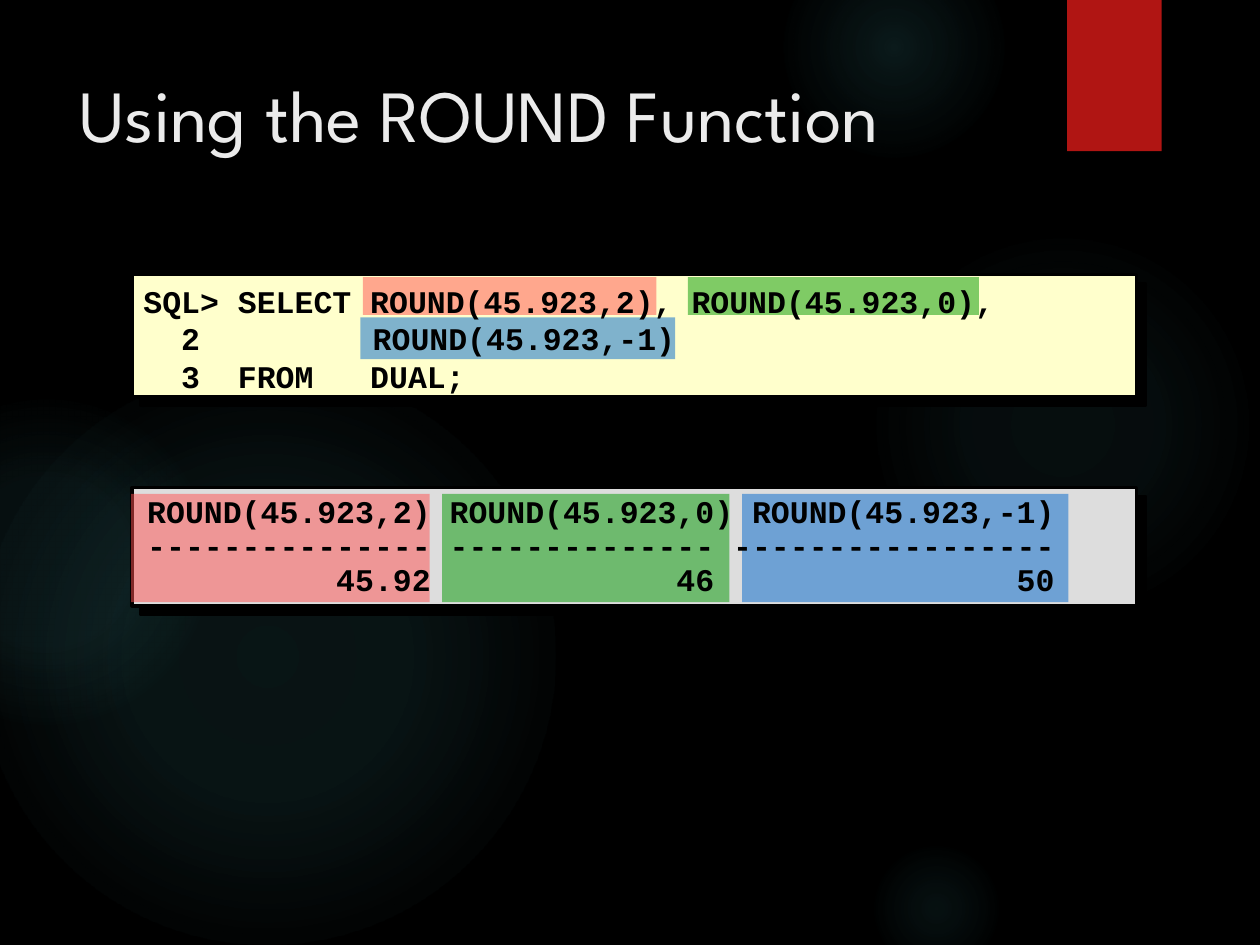
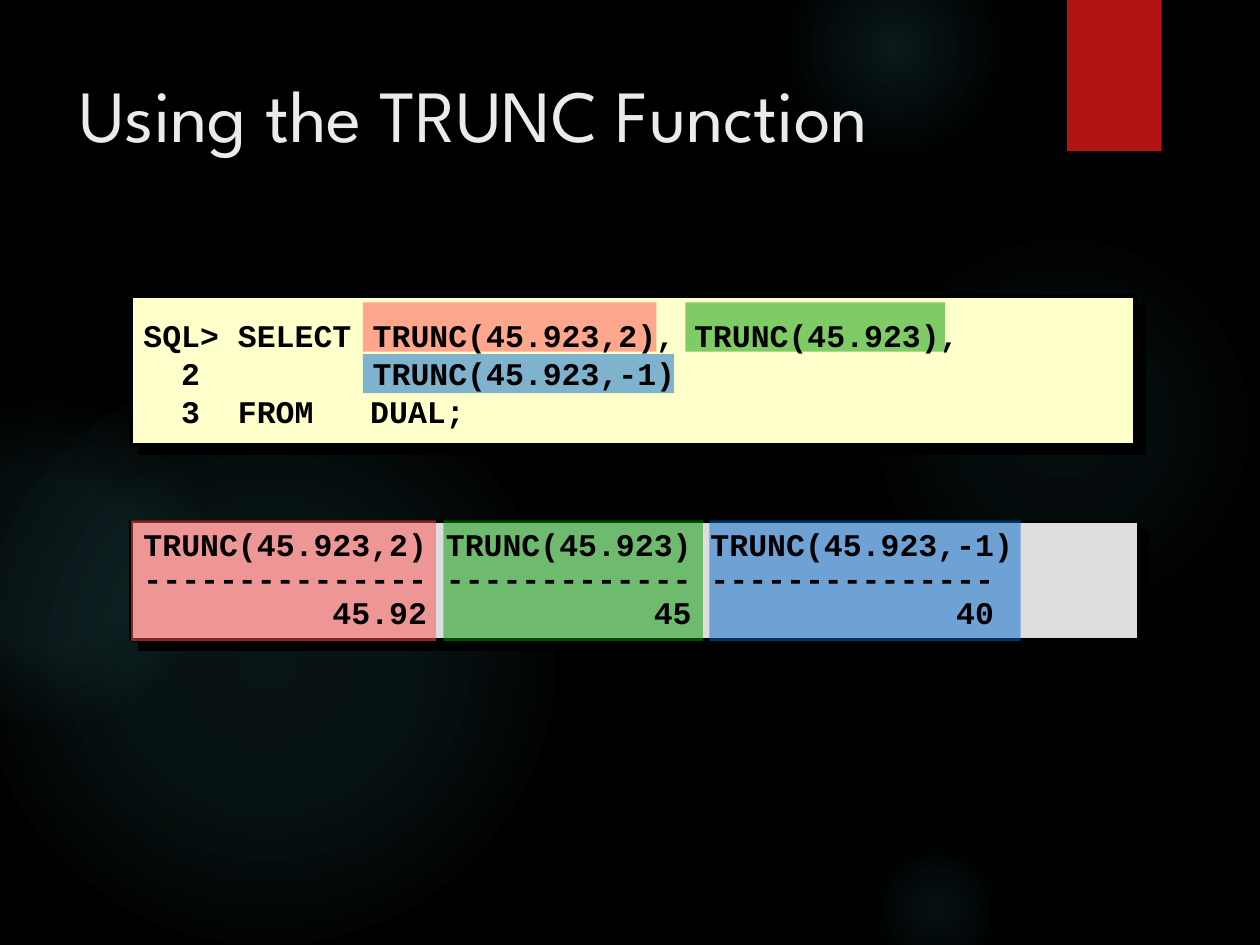
from lxml import etree
from pptx import Presentation
from pptx.dml.color import RGBColor
from pptx.enum.shapes import MSO_SHAPE
from pptx.enum.text import MSO_ANCHOR, MSO_AUTO_SIZE
from pptx.oxml import parse_xml
from pptx.oxml.ns import nsdecls, qn
from pptx.util import Inches, Pt

RECT, OVAL = MSO_SHAPE.RECTANGLE, MSO_SHAPE.OVAL
TOP, MIDDLE = MSO_ANCHOR.TOP, MSO_ANCHOR.MIDDLE
GROW, FIXED = MSO_AUTO_SIZE.SHAPE_TO_FIT_TEXT, MSO_AUTO_SIZE.NONE

# Grid: 100 columns by 75 rows on a 10 by 7.5 inch slide
WIDE, HIGH = Inches(10), Inches(7.5)
COLS, ROWS = 100, 75

BLACK, GLOW, RED, PALE = "000000", "50B9C1", "B01513", "EBEBEB"
CREAM, GREY = "FFFFCC", "DDDDDD"
TINTS = ["FF5050", "009900", "0066CC"]
HEAD, MONO = "League Spartan", "Courier New"

# Glows: column, row, size, then (stop, opacity) pairs in percent
GLOWS = [
    (68.9, 18.3, 30.8, [(0, 7), (36, 6), (69, 0)]),
    (62.2, -5, 17.5, [(0, 14), (36, 7), (73, 0)]),
    (68.9, 66.7, 10.8, [(0, 9), (36, 5), (66, 0)]),
    (-1.7, 29.2, 45.8, [(0, 11), (36, 10), (75, 0)]),
    (-9.2, 31.7, 25.8, [(0, 8), (36, 8), (72, 0)]),
]


def rgb(hue):
    return RGBColor.from_string(hue)


def place(box):
    x, y, w, h = box
    return (int(x * WIDE / COLS), int(y * HIGH / ROWS),
            int(w * WIDE / COLS), int(h * HIGH / ROWS))


def shape(slide, kind, box, fill, line=None, alpha=None):
    item = slide.shapes.add_shape(kind, *place(box))
    item.shadow.inherit = False
    item.fill.solid()
    item.fill.fore_color.rgb = rgb(fill)
    if alpha:
        hue = item.fill._xPr.find(qn("a:solidFill"))[0]
        etree.SubElement(hue, qn("a:alpha"), val=str(alpha * 1000))
    if line:
        item.line.color.rgb = rgb(line)
        item.line.width = Pt(2)
    else:
        item.line.fill.background()
    return item


def shade(item, alpha, blur, dist, angle):
    effects = item._element.spPr.find(qn("a:effectLst"))
    effects.append(parse_xml(
        f'<a:outerShdw {nsdecls("a")} blurRad="{Pt(blur)}" dist="{Pt(dist)}" '
        f'dir="{angle * 60000}" algn="ctr" rotWithShape="0">'
        f'<a:srgbClr val="{BLACK}"><a:alpha val="{alpha * 1000}"/></a:srgbClr>'
        '</a:outerShdw>'))


def glow(slide, x, y, size, stops):
    item = shape(slide, OVAL, (x, y, size, size), GLOW)
    marks = "".join(
        f'<a:gs pos="{pos * 1000}"><a:srgbClr val="{GLOW}">'
        f'<a:alpha val="{alpha * 1000}"/></a:srgbClr></a:gs>'
        for pos, alpha in stops)
    props = item._element.spPr
    props.replace(props.find(qn("a:solidFill")), parse_xml(
        f'<a:gradFill {nsdecls("a")}><a:gsLst>{marks}</a:gsLst><a:path path="circle">'
        '<a:fillToRect l="50000" t="50000" r="50000" b="50000"/></a:path></a:gradFill>'))


def write(slide, box, lines, font, size, hue, anchor=TOP, wrap=True,
          fit=FIXED, bold=False, space=None, tabs=()):
    frame = slide.shapes.add_textbox(*place(box)).text_frame
    frame.word_wrap, frame.auto_size = wrap, fit
    frame.vertical_anchor = anchor
    frame.text = "\n".join(lines)
    for para in frame.paragraphs:
        if space:
            para.line_spacing = space
        if tabs:
            stops = etree.SubElement(para._p.get_or_add_pPr(), qn("a:tabLst"))
            for stop in tabs:
                etree.SubElement(stops, qn("a:tab"), pos=str(Inches(stop)), algn="l")
        for run in para.runs:
            run.font.name, run.font.size, run.font.bold = font, Pt(size), bold
            run.font.color.rgb = rgb(hue)


def panel(slide, box, fill, marks):
    """Shadowed box with one tinted mark per call, relative to its corner."""
    shade(shape(slide, RECT, box, fill, BLACK), 100, 0, 7.1, 45)
    for tint, (x, y, w, h) in zip(TINTS, marks):
        shape(slide, RECT, (box[0] + x, box[1] + y, w, h), tint, alpha=50)


def query(slide, box, marks, lines):
    panel(slide, box, CREAM, marks)
    tall = 17.3
    top = box[1] + (box[3] - tall) / 2 + 0.2
    write(slide, (10.4, top, 80, tall), lines, MONO, 18, BLACK, MIDDLE,
          wrap=False, bold=True, tabs=(0.91, 1.82))


def result(slide, box, band, spans, shift, calls, rules, values):
    """Output listing: values end where the dashes of their column end."""
    y, h = band
    panel(slide, box, GREY, [(x, y, w, h) for x, w in spans])
    lines = [" ".join(calls),
             " ".join("-" * n for n in rules),
             " ".join(v.rjust(n) for v, n in zip(values, rules))]
    write(slide, (box[0] + shift[0], box[1] + shift[1], 79.5, 9.1), lines,
          MONO, 18, BLACK, fit=GROW, bold=True, space=0.9)


def base(deck, title):
    slide = deck.slides.add_slide(deck.slide_layouts[6])
    slide.background.fill.solid()
    slide.background.fill.fore_color.rgb = rgb(BLACK)
    for spot in GLOWS:
        glow(slide, *spot)
    shade(shape(slide, RECT, (84.7, 0, 7.5, 12), RED), 45, 3, 2, 90)
    write(slide, (5.3, 5, 77.2, 15.3), [title], HEAD, 42, PALE)
    return slide


def main():
    deck = Presentation()
    deck.slide_width, deck.slide_height = WIDE, HIGH

    # ROUND
    slide = base(deck, "Using the ROUND Function")
    calls = ["ROUND(45.923,2)", "ROUND(45.923,0)", "ROUND(45.923,-1)"]
    query(slide, (10.5, 21.8, 79.7, 9.7),
          [(18.3, 0.2, 23.3, 3), (44.1, 0.2, 23.1, 3), (18.1, 3.4, 25, 3.3)],
          [f"SQL> SELECT {calls[0]}, {calls[1]},",
           f"  2  \t\t{calls[2]}", "  3  FROM   DUAL;"])
    result(slide, (10.5, 38.7, 79.7, 9.4), (0.5, 8.6),
           [(-0.1, 23.7), (24.6, 22.8), (48.4, 25.9)], (0.2, 0.2),
           calls, (15, 14, 17), ("45.92", "46", "50"))

    # TRUNC
    slide = base(deck, "Using the TRUNC Function")
    calls = ["TRUNC(45.923,2)", "TRUNC(45.923)", "TRUNC(45.923,-1)"]
    query(slide, (10.4, 23.5, 79.7, 11.8),
          [(18.4, 0.5, 23.3, 3.9), (44, 0.5, 20.6, 3.9), (18.4, 4.6, 24.7, 3.1)],
          [f"SQL> SELECT \t{calls[0]}, {calls[1]},",
           f"  2  \t\t{calls[2]}", "  3  FROM   DUAL;"])
    result(slide, (10.4, 41.4, 80, 9.4), (-0.1, 9.6),
           [(0, 24.2), (24.8, 20.6), (45.9, 24.7)], (0, 0.1),
           calls, (15, 13, 15), ("45.92", "45", "40"))

    deck.save("out.pptx")


if __name__ == "__main__":
    main()
